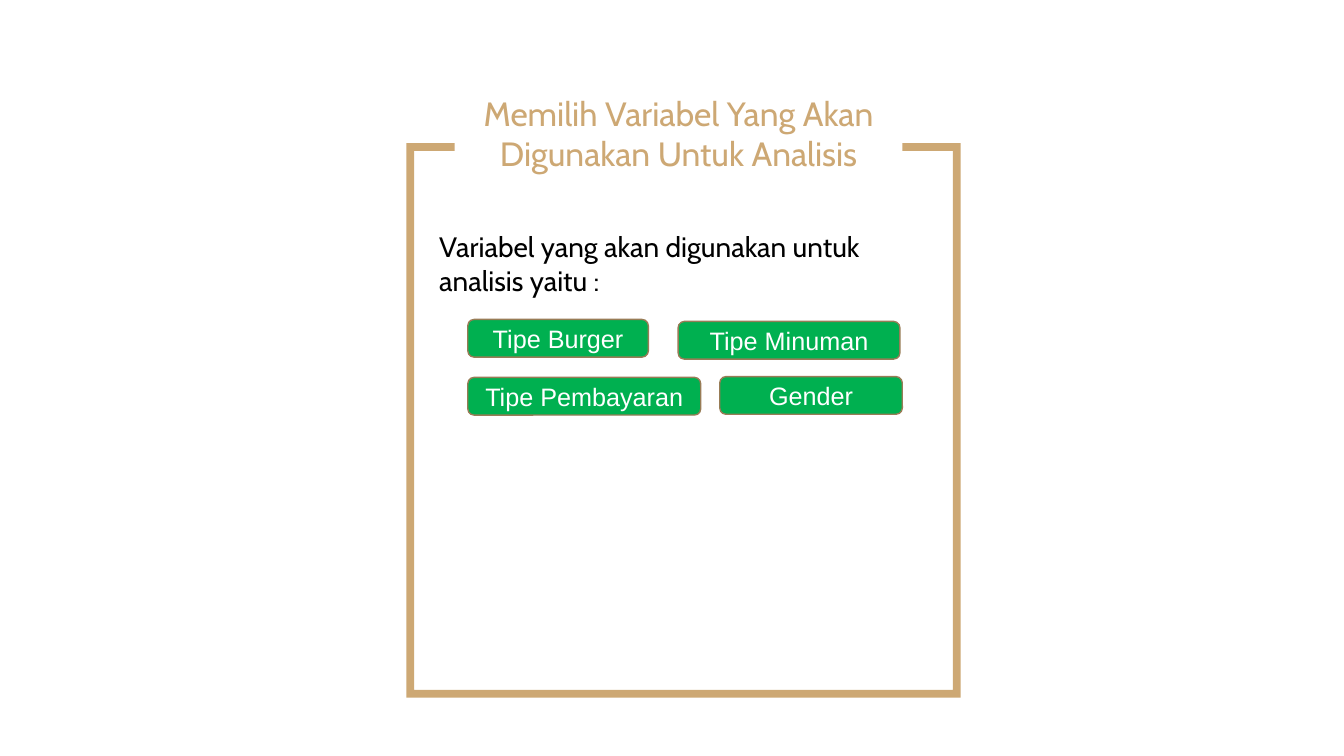
import pptx
import pptx.util
import pptx.dml.color
import pptx.enum.shapes
import pptx.enum.text

Cm = pptx.util.Cm
Pt = pptx.util.Pt
SHAPES = pptx.enum.shapes.MSO_SHAPE
ALIGN = pptx.enum.text.PP_ALIGN
ANCHOR = pptx.enum.text.MSO_ANCHOR
GOLD = "CDA874"


def paint(color_format, color):
    color_format.rgb = pptx.dml.color.RGBColor.from_string(color)


def add_box(page, left, top, width, height, text="", kind=SHAPES.RECTANGLE, fill=None,
            line=None, font="Cabin", size=20, color="000000",
            align=ALIGN.LEFT, anchor=ANCHOR.TOP):
    place = (Cm(left), Cm(top), Cm(width), Cm(height))
    if fill:
        box = page.shapes.add_shape(kind, *place)
        box.shadow.inherit = False
        box.fill.solid()
        paint(box.fill.fore_color, fill)
        if line:
            paint(box.line.color, line)
            box.line.width = Pt(1)
        else:
            box.line.fill.background()
    else:
        box = page.shapes.add_textbox(*place)
    if text:
        box.text_frame.word_wrap = True
        box.text_frame.vertical_anchor = anchor
        para = box.text_frame.paragraphs[0]
        para.alignment = align
        span = para.add_run()
        span.text = text
        span.font.name = font
        span.font.size = Pt(size)
        paint(span.font.color, color)
    return box


deck = pptx.Presentation()
deck.slide_width = Cm(33.87)
deck.slide_height = Cm(19.05)
page = deck.slides.add_slide(deck.slide_layouts[6])

frame = add_box(page, 10.24, 3.61, 13.97, 13.97, kind=SHAPES.FRAME, fill=GOLD)
frame.adjustments[0] = 0.014

add_box(page, 11.46, 1.68, 11.28, 3.33, "Memilih Variabel Yang Akan Digunakan Untuk Analisis",
        fill="FFFFFF", size=24, color=GOLD, align=ALIGN.CENTER, anchor=ANCHOR.MIDDLE)
add_box(page, 10.82, 5.66, 12.62, 1.96, "Variabel yang akan digunakan untuk analisis yaitu :")

variables = [
    ("Tipe Burger", 11.79, 8.05, 4.55),
    ("Tipe Minuman", 17.09, 8.1, 5.59),
    ("Tipe Pembayaran", 11.79, 9.51, 5.87),
    ("Gender", 18.14, 9.49, 4.6),
]
for name, left, top, width in variables:
    add_box(page, left, top, width, 0.95, name, kind=SHAPES.ROUNDED_RECTANGLE,
            fill="00B050", line="987C56", font="Arial", size=18, color="FFFFFF",
            align=ALIGN.CENTER, anchor=ANCHOR.MIDDLE)

deck.save("out.pptx")
